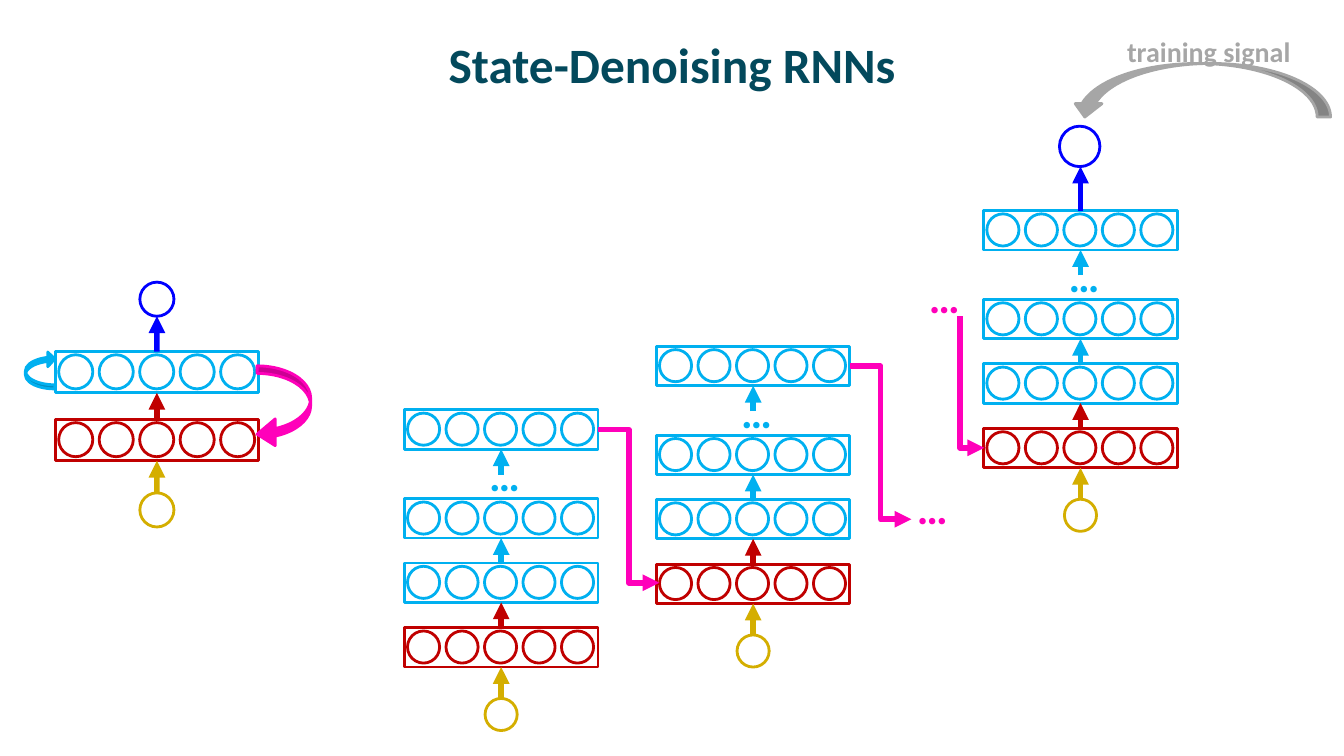
import dataclasses
from typing import Any, Optional

import lxml.etree
import pptx
import pptx.dml.color
import pptx.enum.shapes
import pptx.enum.text
import pptx.oxml.ns
import pptx.util

Cm, Pt = pptx.util.Cm, pptx.util.Pt
MSO = pptx.enum.shapes.MSO_SHAPE
LINK = pptx.enum.shapes.MSO_CONNECTOR
ALIGN = pptx.enum.text.PP_ALIGN
ANCHOR = pptx.enum.text.MSO_ANCHOR
qn = pptx.oxml.ns.qn

COLORS = {
    "title": "03495C",
    "input": "D4AE00",
    "encoder": "C00000",
    "hidden": "00B0F0",
    "output": "0000FF",
    "recur": "FF00BA",
    "signal": "A6A6A6",
}
FONT = "Calibri"
UNITS = 5
INSET = 0.08  # gap between a layer's frame and its units


@dataclasses.dataclass
class Size:
    """Measures of a layer and its units, in cm."""
    w: float
    h: float
    unit: float
    pitch: float


@dataclasses.dataclass
class Stack:
    """Unrolled step, placed by the corner of its encoder layer, in cm."""
    left: float
    top: float


@dataclasses.dataclass
class Curl:
    """Curved block arrow, in cm."""
    kind: Any
    left: float
    top: float
    w: float
    h: float
    color: str
    rotation: float = 0
    adj: tuple = ()


@dataclasses.dataclass
class Label:
    text: str
    left: float
    top: float
    w: float
    h: float
    size: float
    color: str
    align: Any = ALIGN.LEFT
    frame: dict = dataclasses.field(default_factory=dict)


COMPACT = Size(5.11, 1.04, 0.86, 1.02)
STEP = Size(4.88, 0.99, 0.81, 0.97)
STACKS = [Stack(10.19, 15.82), Stack(16.54, 14.22), Stack(24.79, 10.8)]
CURLS = [
    Curl(MSO.CURVED_LEFT_ARROW, 6.48, 9.22, 1.35, 2.06, "recur", 0, (0.141, 0.5, 0.339)),
    Curl(MSO.CURVED_LEFT_ARROW, 0.64, 8.86, 0.74, 0.94, "hidden", 180, (0.141, 0.5, 0.238)),
    Curl(MSO.CURVED_RIGHT_ARROW, 29.59, -0.99, 1.35, 6.53, "signal", 90),
]


def rgb(name: str) -> pptx.dml.color.RGBColor:
    return pptx.dml.color.RGBColor.from_string(COLORS[name])


def apply(obj: Any, values: dict) -> None:
    for key, value in values.items():
        setattr(obj, key, value)


def shape(slide: Any, kind: Any, left: float, top: float, w: float, h: float,
          color: str, filled: bool = False) -> Any:
    s = slide.shapes.add_shape(kind, Cm(left), Cm(top), Cm(w), Cm(h))
    s.shadow.inherit = False
    if filled:
        s.fill.solid()
        s.fill.fore_color.rgb = rgb(color)
    else:
        s.fill.background()
    s.line.color.rgb = rgb(color)
    s.line.width = Pt(2)
    return s


def circle(slide: Any, left: float, top: float, d: float, color: str) -> Any:
    return shape(slide, MSO.OVAL, left, top, d, d, color)


def layer(slide: Any, left: float, top: float, size: Size, color: str) -> Any:
    for i in range(UNITS):
        circle(slide, left + INSET + i * size.pitch, top + INSET, size.unit, color)
    return shape(slide, MSO.RECTANGLE, left, top, size.w, size.h, color)


def connector(slide: Any, kind: Any, x1: float, y1: float, x2: float, y2: float,
              color: str) -> Any:
    s = slide.shapes.add_connector(kind, Cm(x1), Cm(y1), Cm(x2), Cm(y2))
    s.line.color.rgb = rgb(color)
    s.line.width = Pt(4)
    lxml.etree.SubElement(s.line._get_or_add_ln(), qn("a:tailEnd"), type="triangle")
    lxml.etree.SubElement(s._element.spPr, qn("a:effectLst"))
    return s


def arrow(slide: Any, x: float, y1: float, y2: float, color: str,
          lower: Optional[Any] = None, upper: Optional[Any] = None) -> None:
    s = connector(slide, LINK.STRAIGHT, x, y1, x, y2, color)
    if lower is not None:
        s.begin_connect(lower, 0)
    if upper is not None:
        s.end_connect(upper, 2)


def label(slide: Any, item: Label) -> None:
    s = slide.shapes.add_textbox(Cm(item.left), Cm(item.top), Cm(item.w), Cm(item.h))
    tf = s.text_frame
    apply(tf, {"word_wrap": True, **item.frame})
    p = tf.paragraphs[0]
    p.alignment = item.align
    r = p.add_run()
    r.text = item.text
    apply(r.font, {"name": FONT, "size": Pt(item.size), "bold": True})
    r.font.color.rgb = rgb(item.color)


def dots(slide: Any, left: float, top: float, color: str) -> None:
    label(slide, Label("…", left, top, 1.3, 1.57, 31, color, frame={"word_wrap": False}))


def compact_network(slide: Any) -> None:
    left, mid = 1.4, 1.4 + COMPACT.w / 2
    d = COMPACT.unit
    source = circle(slide, mid - d / 2, 12.42, d, "input")
    encoder = layer(slide, left, 10.57, COMPACT, "encoder")
    hidden = layer(slide, left, 8.86, COMPACT, "hidden")
    circle(slide, mid - d / 2, 7.11, d, "output")
    arrow(slide, mid, 12.42, 11.61, "input", source, encoder)
    arrow(slide, mid, 10.57, 9.9, "encoder", encoder, hidden)
    arrow(slide, mid, 8.86, 7.97, "output", hidden)


def unrolled_step(slide: Any, stack: Stack) -> Any:
    """Draw one step and return its top layer."""
    left, top, mid = stack.left, stack.top, stack.left + STEP.w / 2
    lower = circle(slide, mid - STEP.unit / 2, top + 1.78, STEP.unit, "input")
    y, color = top + 1.78, "input"
    for rise, name in [(0, "encoder"), (1.63, "hidden"), (3.25, "hidden")]:
        upper = layer(slide, left, top - rise, STEP, name)
        arrow(slide, mid, y, top - rise + STEP.h, color, lower, upper)
        lower, y, color = upper, top - rise, name
    last = layer(slide, left, top - 5.49, STEP, "hidden")
    arrow(slide, mid, top - 3.86, top - 4.5, "hidden", upper=last)
    dots(slide, left + 1.89, top - 4.65, "hidden")
    return last


def main() -> None:
    prs = pptx.Presentation()
    apply(prs, {"slide_width": Cm(33.87), "slide_height": Cm(19.05)})
    slide = prs.slides.add_slide(prs.slide_layouts[6])

    # Title
    label(slide, Label("State-Denoising RNNs", 1.7, 0.43, 30.48, 2.34, 35.3, "title", ALIGN.CENTER,
                       {"vertical_anchor": ANCHOR.MIDDLE, "margin_left": Cm(0.28),
                        "margin_right": Cm(0.28), "margin_top": Cm(0.15),
                        "margin_bottom": Cm(0.15)}))

    # Networks
    compact_network(slide)
    tops = [unrolled_step(slide, stack) for stack in STACKS]

    # Output of the last step
    circle(slide, 26.7, 3.18, 1.02, "output")
    arrow(slide, 27.23, 5.31, 4.2, "output", tops[-1])

    # Recurrent links between steps
    for stack in STACKS[:2]:
        x, y = stack.left + STEP.w, stack.top - 5.49 + STEP.h / 2
        connector(slide, LINK.ELBOW, x, y, x + 1.55, y + 3.86, "recur")
    s = connector(slide, LINK.ELBOW, 22.84, 9.32, 26.16, 9.93, "recur")
    s._element.spPr.find(qn("a:prstGeom")).set("prst", "bentConnector2")
    apply(s._element.spPr.find(qn("a:xfrm")), {"rot": 270, "flipH": True})
    dots(slide, 22.86, 12.01, "recur")
    dots(slide, 23.16, 6.68, "recur")

    # Curved arrows and the training signal
    for c in CURLS:
        s = shape(slide, c.kind, c.left, c.top, c.w, c.h, c.color, True)
        s.rotation = c.rotation
        for i, value in enumerate(c.adj):
            s.adjustments[i] = value
    label(slide, Label("training signal", 27.91, 0.74, 5.11, 0.74, 20, "signal", ALIGN.CENTER))

    prs.save("out.pptx")


if __name__ == "__main__":
    main()
